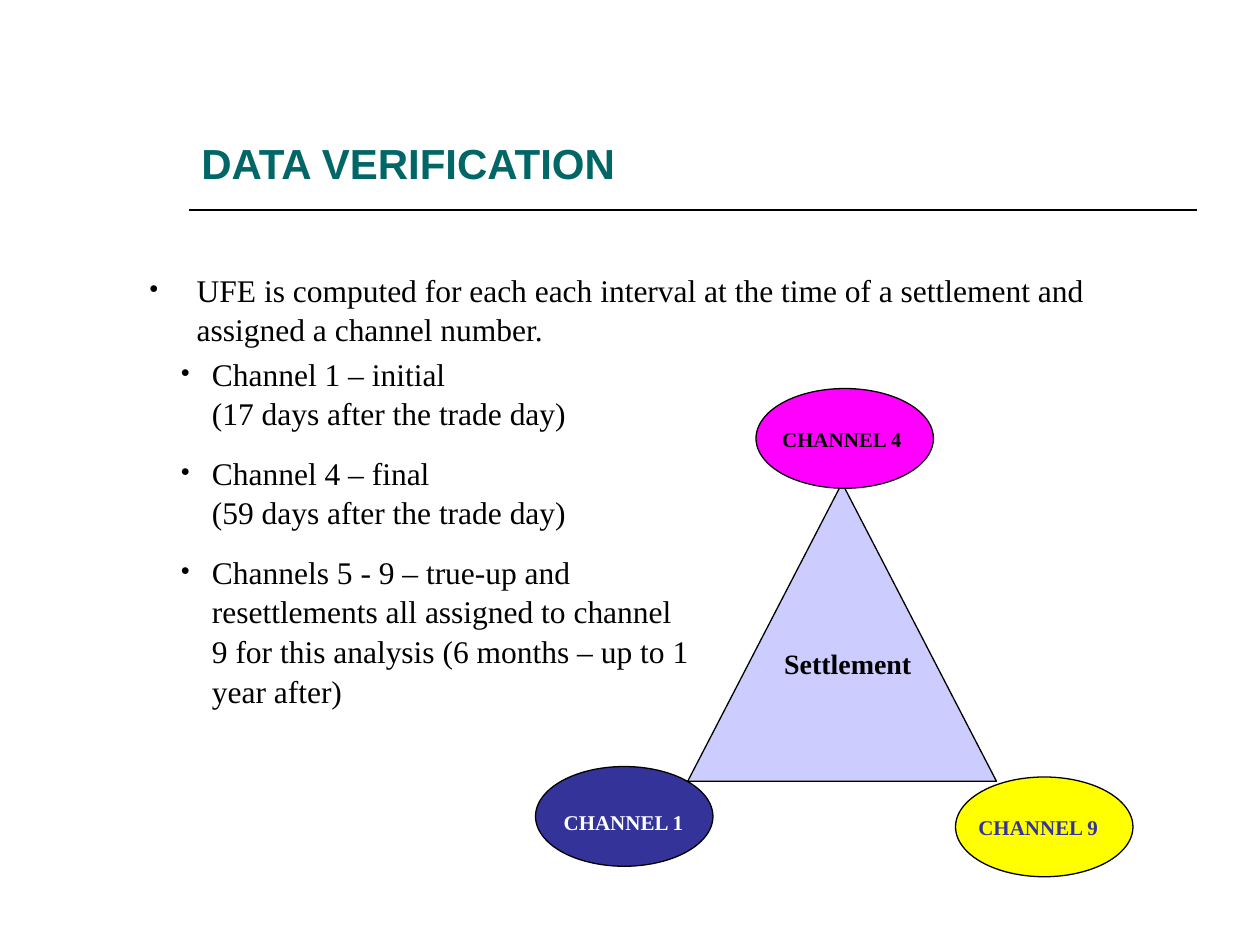
from lxml.etree import SubElement
from pptx import Presentation
from pptx.dml.color import RGBColor
from pptx.enum.shapes import MSO_CONNECTOR as Connector, MSO_SHAPE as Shape
from pptx.enum.text import MSO_ANCHOR as Anchor
from pptx.oxml.ns import qn
from pptx.util import Inches, Pt

BLACK = RGBColor(0x00, 0x00, 0x00)
WHITE = RGBColor(0xFF, 0xFF, 0xFF)
TEAL = RGBColor(0x00, 0x66, 0x66)
LAVENDER = RGBColor(0xCC, 0xCC, 0xFF)
NAVY = RGBColor(0x33, 0x33, 0x99)
YELLOW = RGBColor(0xFF, 0xFF, 0x00)
MAGENTA = RGBColor(0xFF, 0x00, 0xFF)

SERIF = "Times New Roman"
SANS = "Arial"
COLUMNS, ROWS = 120, 90
OVAL_SIZE = (16.9, 9.5)
LABEL_SIZE = (16.5, 3.7)

INTRO = ["UFE is computed for each each interval at the time of a settlement "
         "and assigned a channel number."]
CHANNEL_NOTES = [
    "Channel 1 – initial\v(17 days after the trade day)",
    "Channel 4 – final\v(59 days after the trade day)",
    "Channels 5 - 9 – true-up and resettlements all assigned to channel 9 "
    "for this analysis (6 months – up to 1 year after)",
]
CHANNELS = [
    ("CHANNEL 1", (51, 73), (52.5, 76.5), NAVY, WHITE),
    ("CHANNEL 9", (91, 74), (92, 77), YELLOW, NAVY),
    ("CHANNEL 4", (72, 37), (73.3, 40), MAGENTA, BLACK),
]


def grid(*cells):
    return [Inches(cell * 10 / COLUMNS) for cell in cells]


def style(paragraph, size, color, face=SERIF, bold=False):
    font = paragraph.font
    font.size, font.name, font.bold = Pt(size), face, bold
    font.color.rgb = color


def add_text(slide, place, size, words, points, color, face=SERIF,
             anchor=Anchor.TOP, wrap=True):
    frame = slide.shapes.add_textbox(*grid(*place, *size)).text_frame
    frame.word_wrap = wrap
    frame.vertical_anchor = anchor
    frame.text = words
    style(frame.paragraphs[0], points, color, face, bold=True)


def add_bullet(paragraph, indent):
    properties = paragraph._p.get_or_add_pPr()
    properties.set("marL", str(Inches(indent)))
    properties.set("indent", str(-Inches(indent)))
    color = SubElement(properties, qn("a:buClr"))
    SubElement(color, qn("a:srgbClr"), val=str(BLACK))
    SubElement(properties, qn("a:buSzPct"), val="90000")
    SubElement(properties, qn("a:buFont"), typeface=SERIF)
    SubElement(properties, qn("a:buChar"), char="•")


def add_bullets(slide, place, size, items, indent):
    frame = slide.shapes.add_textbox(*grid(*place, *size)).text_frame
    frame.word_wrap = True
    for index, item in enumerate(items):
        paragraph = frame.add_paragraph() if index else frame.paragraphs[0]
        paragraph.text = item
        add_bullet(paragraph, indent)
        paragraph.line_spacing = 1.05
        if index:
            paragraph.space_before = Pt(11.2)
        style(paragraph, 18, BLACK)


def add_figure(slide, kind, place, size, fill):
    figure = slide.shapes.add_shape(kind, *grid(*place, *size))
    figure.shadow.inherit = False
    figure.fill.solid()
    figure.fill.fore_color.rgb = fill
    figure.line.color.rgb = BLACK
    figure.line.width = Pt(0.75)


def add_rule(slide, start, end):
    rule = slide.shapes.add_connector(Connector.STRAIGHT, *grid(*start, *end))
    rule.line.color.rgb = BLACK
    rule.line.width = Pt(1)
    SubElement(rule._element.spPr, qn("a:effectLst"))


def add_settlement_diagram(slide):
    add_figure(slide, Shape.ISOSCELES_TRIANGLE, (65.5, 46), (29.4, 28.4), LAVENDER)
    for name, oval, label, fill, color in CHANNELS:
        add_figure(slide, Shape.OVAL, oval, OVAL_SIZE, fill)
        add_text(slide, label, LABEL_SIZE, name, 12, color, wrap=False)
    add_text(slide, (73.5, 61), (15.5, 6), "Settlement", 16, BLACK, wrap=False)


def main():
    deck = Presentation()
    deck.slide_width, deck.slide_height = grid(COLUMNS, ROWS)
    slide = deck.slides.add_slide(deck.slide_layouts[6])
    add_rule(slide, (18, 20), (114, 20))
    add_text(slide, (18, 11), (96, 9), "DATA VERIFICATION", 24, TEAL, SANS,
             Anchor.MIDDLE)
    add_bullets(slide, (13, 25), (97, 6), INTRO, 0.38)
    add_settlement_diagram(slide)
    add_bullets(slide, (16, 33), (51, 39.2), CHANNEL_NOTES, 0.25)
    deck.save("out.pptx")


if __name__ == "__main__":
    main()
